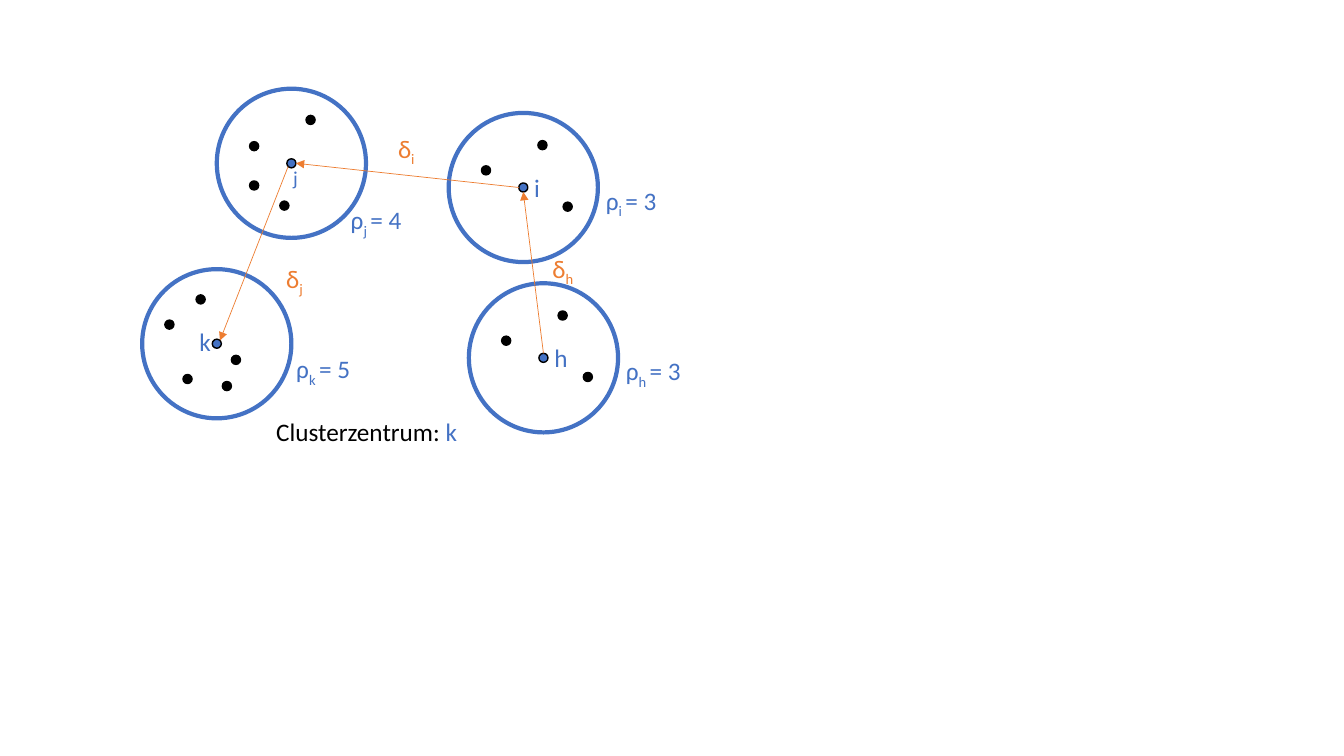
from math import cos, radians, sin

from lxml import etree
from pptx import Presentation
from pptx import util as u
from pptx.dml.color import RGBColor
from pptx.enum import shapes, text
from pptx.oxml.ns import qn

BLUE = RGBColor(0x44, 0x72, 0xC4)
ORANGE = RGBColor(0xED, 0x7D, 0x31)
BLACK = RGBColor(0, 0, 0)

CLUSTER_RADIUS = 0.74
POINT_RADIUS = 0.045
SUBSCRIPT = "-25000"

# Point offsets are measured from the centre of their cluster.
THREE_POINTS = [(0.44, 0.19), (0.19, -0.42), (-0.37, -0.17)]
FOUR_POINTS = [(-0.07, 0.42), (0.19, -0.43), (-0.37, -0.17), (-0.37, 0.22)]
FIVE_POINTS = [(-0.47, -0.19), (-0.29, 0.35), (0.19, 0.16), (-0.16, -0.44), (0.1, 0.42)]

CENTRES = {"k": (2.15, 3.41), "j": (2.89, 1.62), "i": (5.19, 1.86), "h": (5.39, 3.55)}


def write(paragraph, content, size=18, color=BLACK, subscript=False):
    """Add one formatted run to a paragraph."""
    run = paragraph.add_run()
    run.text = content
    run.font.name = "Calibri"
    run.font.size = u.Pt(size)
    run.font.color.rgb = color
    if subscript:
        run.font._element.set("baseline", SUBSCRIPT)


def site(cluster, angle):
    """Return the point on a centre marker's rim at an angle, clockwise from the right."""
    x, y = CENTRES[cluster]
    turn = radians(angle)
    return x + POINT_RADIUS * cos(turn), y + POINT_RADIUS * sin(turn)


class ClusterSlide:
    """Holds the style and the current slide of the cluster diagram."""

    def __init__(self, slide):
        """Draw straight onto the slide until a group is opened."""
        self.slide = slide
        self.target = slide.shapes

    def circle(self, centre, radius, fill, line, width):
        """Draw a circle about its centre."""
        x, y = centre
        disc = self.target.add_shape(
            shapes.MSO_SHAPE.OVAL, u.Inches(x - radius), u.Inches(y - radius),
            u.Inches(2 * radius), u.Inches(2 * radius))
        disc.shadow.inherit = False
        if fill is None:
            disc.fill.background()
        else:
            disc.fill.solid()
            disc.fill.fore_color.rgb = fill
        disc.line.color.rgb = line
        disc.line.width = u.Pt(width)

    def label(self, left, top, width, runs, height=0.4):
        """Place a one-line label; each run is its text and its format."""
        box = self.target.add_textbox(*map(u.Inches, (left, top, width, height)))
        box.text_frame.word_wrap = False
        box.text_frame.auto_size = text.MSO_AUTO_SIZE.SHAPE_TO_FIT_TEXT
        for content, style in runs:
            write(box.text_frame.paragraphs[0], content, **style)

    def symbol(self, left, top, width, letter, index, color, ending=""):
        """Place a Greek letter with its subscript and an optional ending."""
        runs = [(letter, dict(color=color)), (index, dict(color=color, subscript=True))]
        if ending:
            runs.append((ending, dict(color=color)))
        self.label(left, top, width, runs)

    def cluster(self, name, points, name_at, density_at, name_width,
                density_width=0.72, name_size=18, name_height=0.4, grouped=False):
        """Draw a cluster with its points, its centre, its name and its density."""
        x, y = CENTRES[name]
        if grouped:
            self.target = self.slide.shapes.add_group_shape().shapes
        self.circle((x, y), CLUSTER_RADIUS, None, BLUE, 3)
        self.circle((x, y), POINT_RADIUS, BLUE, BLACK, 1)
        for dx, dy in points:
            self.circle((x + dx, y + dy), POINT_RADIUS, BLACK, BLACK, 1)
        self.label(x + name_at[0], y + name_at[1], name_width,
                   [(name, dict(color=BLUE, size=name_size))], name_height)
        self.symbol(x + density_at[0], y + density_at[1], density_width,
                    "ρ", name + " ", BLUE, f"= {len(points)}")
        self.target = self.slide.shapes

    def distance(self, start, end, index, left, top, width=0.37):
        """Draw an arrow between two centres and label it with its distance."""
        arrow = self.target.add_connector(
            shapes.MSO_CONNECTOR.STRAIGHT, *map(u.Inches, (*start, *end)))
        arrow.line.color.rgb = ORANGE
        arrow.line.width = u.Pt(0.5)
        etree.SubElement(arrow.line._get_or_add_ln(), qn("a:tailEnd"), type="triangle")
        etree.SubElement(arrow._element.spPr, qn("a:effectLst"))
        self.symbol(left, top, width, "δ", index, ORANGE)


deck = Presentation()
deck.slide_width, deck.slide_height = u.Inches(13.33), u.Inches(7.5)
diagram = ClusterSlide(deck.slides.add_slide(deck.slide_layouts[6]))

diagram.cluster("k", FIVE_POINTS, (-0.27, -0.22), (0.69, 0.05), 0.32, density_width=0.76)
diagram.cluster("j", FOUR_POINTS, (-0.08, -0.02), (0.49, 0.36), 0.25,
                name_size=14, name_height=0.34)
for name, name_width, density_width in [("i", 0.26, 0.72), ("h", 0.34, 0.77)]:
    diagram.cluster(name, THREE_POINTS, (0.01, -0.2), (0.72, -0.07), name_width,
                    density_width, grouped=True)

diagram.distance(site("i", 180), site("j", 0), "i", 3.85, 1.27)
diagram.distance(site("j", 135), site("k", -45), "j", 2.74, 2.56)
diagram.distance(site("h", -90), site("i", 90), "h", 5.38, 2.46, width=0.42)

diagram.label(2.64, 4.08, 2.02, [("Clusterzentrum: ", {}), ("k", dict(color=BLUE))])

deck.save("out.pptx")
